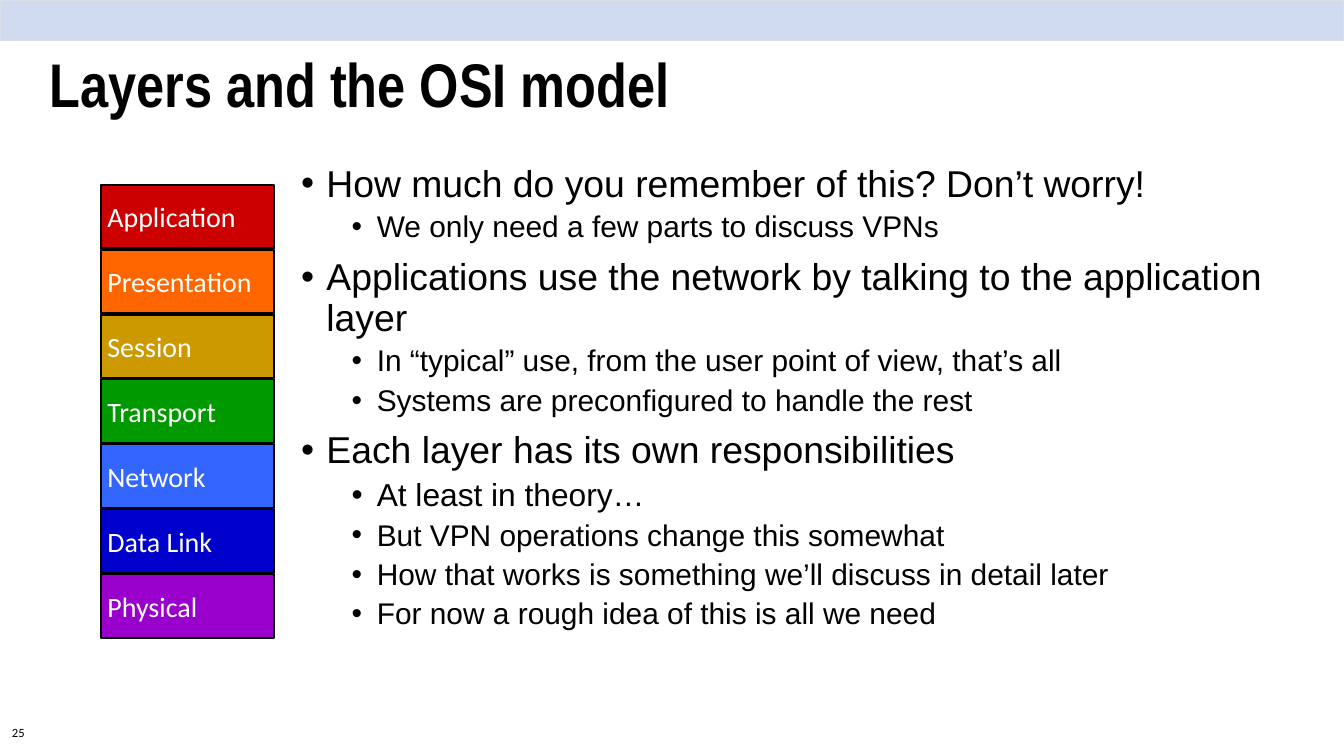
import lxml.etree
import pptx
import pptx.dml.color
import pptx.enum.shapes
import pptx.enum.text
import pptx.oxml.ns
import pptx.util

Pt = pptx.util.Pt
RGBColor = pptx.dml.color.RGBColor
ALIGN = pptx.enum.text.PP_ALIGN
ANCHOR = pptx.enum.text.MSO_ANCHOR

BLACK = RGBColor(0x00, 0x00, 0x00)
WHITE = RGBColor(0xFF, 0xFF, 0xFF)
BAND_FILL = RGBColor(0xD1, 0xDB, 0xF0)
BAND_LINE = RGBColor(0xD9, 0xDE, 0xEA)
RED = RGBColor(0xCC, 0x00, 0x00)
ORANGE = RGBColor(0xFF, 0x66, 0x00)
OCHRE = RGBColor(0xCC, 0x99, 0x00)
GREEN = RGBColor(0x00, 0x99, 0x00)
LIGHT_BLUE = RGBColor(0x33, 0x66, 0xFF)
DARK_BLUE = RGBColor(0x00, 0x00, 0xCC)
PURPLE = RGBColor(0x99, 0x00, 0xCC)

LAYERS = [
    ("Application", RED),
    ("Presentation", ORANGE),
    ("Session", OCHRE),
    ("Transport", GREEN),
    ("Network", LIGHT_BLUE),
    ("Data Link", DARK_BLUE),
    ("Physical", PURPLE),
]

# Level, size in points, wording
POINTS = [
    (0, 40, "How much do you remember of this? Don’t worry!"),
    (1, 32, "We only need a few parts to discuss VPNs"),
    (0, 40, "Applications use the network by talking to the application layer"),
    (1, 32, "In “typical” use, from the user point of view, that’s all"),
    (1, 32, "Systems are preconfigured to handle the rest"),
    (0, 40, "Each layer has its own responsibilities"),
    (1, 34, "At least in theory…"),
    (1, 32, "But VPN operations change this somewhat"),
    (1, 32, "How that works is something we’ll discuss in detail later"),
    (1, 32, "For now a rough idea of this is all we need"),
]
LEVEL_INDENTS = [27, 81]
LEVEL_SPACES = [15, 7.5]
HANGING = 27

TITLE_FONT = {"name": "Arial Narrow", "size": Pt(66), "bold": True}
LAYER_FONT = {"name": "Calibri", "size": Pt(30)}
NUMBER_FONT = {"name": "Calibri", "size": Pt(13.5)}


def set_attributes(target, values):
    for name, value in values.items():
        setattr(target, name, value)


def place(shape, box):
    names = ("left", "top", "width", "height")
    set_attributes(shape, {name: Pt(length) for name, length in zip(names, box)})


def format_frame(frame, anchor):
    set_attributes(frame, {
        "word_wrap": True,
        "auto_size": pptx.enum.text.MSO_AUTO_SIZE.NONE,
        "vertical_anchor": anchor,
    })


def write(paragraph, text, font, color, line_spacing=1.0):
    set_attributes(paragraph, {"alignment": ALIGN.LEFT, "line_spacing": line_spacing})
    run = paragraph.add_run()
    run.text = text
    set_attributes(run.font, font)
    run.font.color.rgb = color


def add_rectangle(slide, box, fill, line, line_width):
    kind = pptx.enum.shapes.MSO_SHAPE.RECTANGLE
    shape = slide.shapes.add_shape(kind, *map(Pt, box))
    shape.shadow.inherit = False
    shape.fill.solid()
    shape.fill.fore_color.rgb = fill
    shape.line.color.rgb = line
    shape.line.width = Pt(line_width)
    return shape


def add_bullet(paragraph, level):
    properties = paragraph._p.get_or_add_pPr()
    properties.set("marL", str(Pt(LEVEL_INDENTS[level])))
    properties.set("indent", str(-Pt(HANGING)))
    for tag, name, value in (("a:buFont", "typeface", "Arial"), ("a:buChar", "char", "•")):
        element = lxml.etree.SubElement(properties, pptx.oxml.ns.qn(tag))
        element.set(name, value)


def fill_title(slide, box):
    title = slide.shapes.title
    place(title, box)
    format_frame(title.text_frame, ANCHOR.MIDDLE)
    write(title.text_frame.paragraphs[0], "Layers and the OSI model", TITLE_FONT, BLACK, 0.9)


def fill_body(slide, box):
    body = slide.placeholders[1]
    place(body, box)
    frame = body.text_frame
    format_frame(frame, ANCHOR.TOP)
    for index, (level, size, text) in enumerate(POINTS):
        paragraph = frame.add_paragraph() if index else frame.paragraphs[0]
        paragraph.level = level
        add_bullet(paragraph, level)
        paragraph.space_before = Pt(LEVEL_SPACES[level] if index else 0)
        write(paragraph, text, {"name": "Arial", "size": Pt(size)}, BLACK, 0.9)


def add_layer_stack(slide, box):
    left, top, width, height = box
    gap = 1.2
    layer_height = (height + gap) / len(LAYERS) - gap
    for index, (name, color) in enumerate(LAYERS):
        layer_top = top + index * (layer_height + gap)
        layer = add_rectangle(slide, (left, layer_top, width, layer_height), color, BLACK, 2.25)
        format_frame(layer.text_frame, ANCHOR.MIDDLE)
        write(layer.text_frame.paragraphs[0], name, LAYER_FONT, WHITE)


def add_slide_number(slide, box):
    frame = slide.shapes.add_textbox(*map(Pt, box)).text_frame
    format_frame(frame, ANCHOR.TOP)
    set_attributes(frame, {"margin_left": Pt(10.8), "margin_right": Pt(10.8),
                           "margin_top": Pt(5.4), "margin_bottom": Pt(5.4)})
    write(frame.paragraphs[0], "25", NUMBER_FONT, BLACK, 0.8)


def main():
    presentation = pptx.Presentation()
    presentation.slide_width = Pt(1440)
    presentation.slide_height = Pt(810)
    slide = presentation.slides.add_slide(presentation.slide_layouts[1])

    # Band across the top, behind the title
    band = add_rectangle(slide, (0, 0, 1440, 43.2), BAND_FILL, BAND_LINE, 1)
    slide.shapes._spTree.insert(2, band._element)

    # Title, list, layer stack and slide number
    fill_title(slide, (46, 16, 1242, 156))
    fill_body(slide, (315.5, 173, 1060, 548.5))
    add_layer_stack(slide, (108, 198, 186, 485.4))
    add_slide_number(slide, (2, 774, 118, 36))

    presentation.save("out.pptx")


if __name__ == "__main__":
    main()
